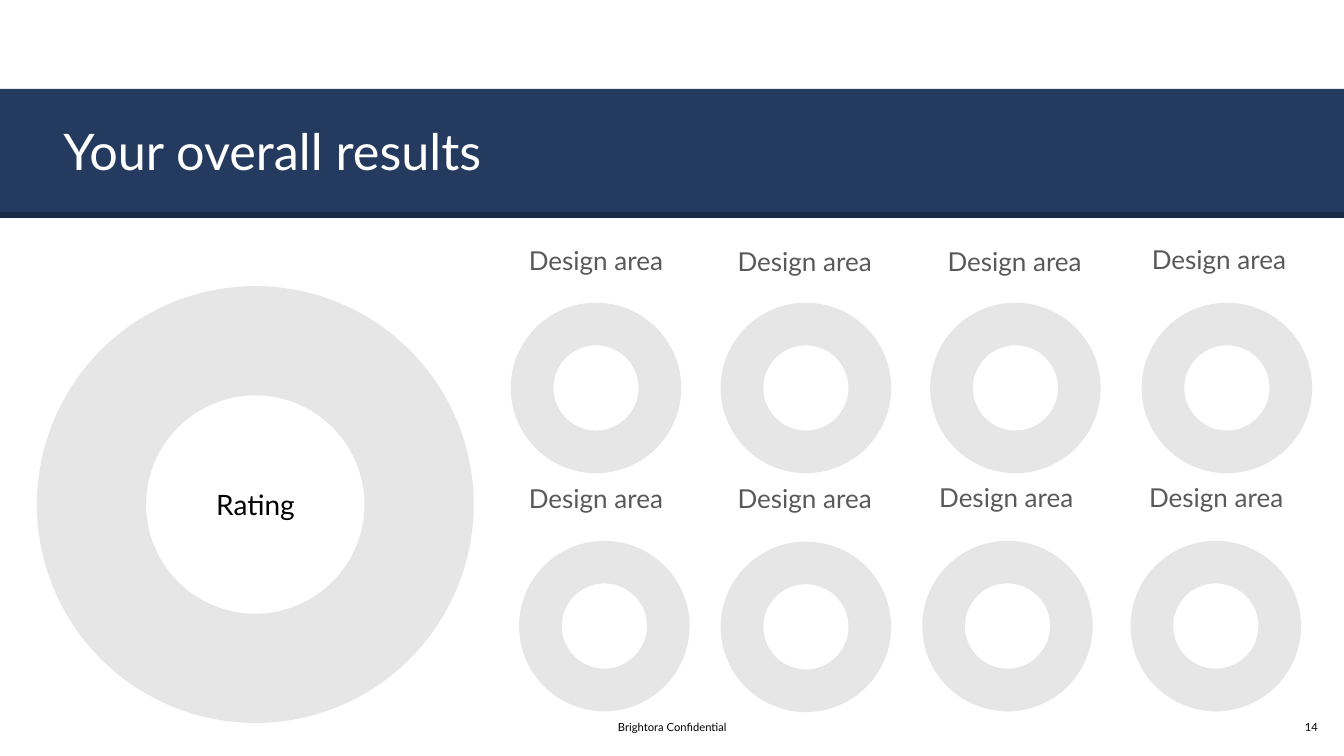
from dataclasses import dataclass

from lxml import etree
from pptx import Presentation
from pptx.chart.data import CategoryChartData
from pptx.dml.color import RGBColor
from pptx.enum import chart as ch, shapes, text
from pptx.oxml import parse_xml
from pptx.oxml.ns import nsdecls, qn
from pptx.util import Cm, Pt


@dataclass(frozen=True)
class Theme:
    font: str = "Lato"
    band: str = "243A5E"
    band_edge: str = "1B2B46"
    white: str = "FFFFFF"
    black: str = "000000"
    label: str = "595959"
    remainder: str = "E6E6E6"
    score: str = "FF0000"
    score_dark: str = "800000"
    title_size: float = 36
    rating_size: float = 20
    label_size: float = 18.6
    chart_size: float = 10
    footer_size: float = 8


@dataclass(frozen=True)
class Box:
    """A rectangle in centimetres."""
    left: float
    top: float
    width: float
    height: float

    def lengths(self) -> tuple[Cm, Cm, Cm, Cm]:
        return Cm(self.left), Cm(self.top), Cm(self.width), Cm(self.height)


@dataclass(frozen=True)
class DesignArea:
    ring_left: float
    ring_top: float
    label_left: float
    label_top: float
    label_height: float = 1.8
    score_color: str = Theme.score


THEME = Theme()
SLIDE_WIDTH, SLIDE_HEIGHT = 33.87, 19.05
RING_WIDTH, RING_HEIGHT, LABEL_WIDTH = 4.32, 7.39, 4.7
RING_PLOT = {"x": 0.5, "y": 37.6, "w": 99.5, "h": 58.2}  # percent of the chart

AREAS = [
    DesignArea(12.85, 4.85, 12.67, 5.66),
    DesignArea(18.14, 4.85, 17.93, 5.79, 1.6),
    DesignArea(23.42, 4.85, 23.22, 5.77, 1.6),
    DesignArea(28.75, 4.85, 28.37, 5.64),
    DesignArea(13.06, 10.85, 12.67, 11.66),
    DesignArea(18.14, 10.87, 17.93, 11.66),
    DesignArea(23.22, 10.85, 23.01, 11.63, score_color=THEME.score_dark),
    DesignArea(28.47, 10.85, 28.3, 11.63, score_color=THEME.score_dark),
]


def add_band(slide, box: Box, color: str) -> None:
    band = slide.shapes.add_shape(shapes.MSO_SHAPE.RECTANGLE, *box.lengths())
    band.shadow.inherit = False
    band.fill.solid()
    band.fill.fore_color.rgb = RGBColor.from_string(color)
    band.line.fill.background()


def add_text(slide, words: str, box: Box, *, size: float, color: str,
             align=text.PP_ALIGN.CENTER, anchor=text.MSO_ANCHOR.MIDDLE) -> None:
    frame = slide.shapes.add_textbox(*box.lengths()).text_frame
    frame.word_wrap = True
    frame.vertical_anchor = anchor
    frame.margin_left = frame.margin_right = frame.margin_top = frame.margin_bottom = 0
    paragraph = frame.paragraphs[0]
    paragraph.alignment = align
    run = paragraph.add_run()
    run.text = words
    run.font.name = THEME.font
    run.font.size = Pt(size)
    run.font.color.rgb = RGBColor.from_string(color)


def place_plot(chart, plot: dict[str, float]) -> None:
    """Fix the inner plot area at the given percentages of the chart."""
    plot_area = chart._chartSpace.chart.plotArea
    for layout in plot_area.findall(qn("c:layout")):
        plot_area.remove(layout)
    layout = parse_xml(f"<c:layout {nsdecls('c')}><c:manualLayout/></c:layout>")
    settings = {"layoutTarget": "inner", "xMode": "edge", "yMode": "edge"}
    settings |= {side: f"{percent / 100:.3f}" for side, percent in plot.items()}
    for tag, value in settings.items():
        etree.SubElement(layout[0], qn(f"c:{tag}")).set("val", value)
    plot_area.insert(0, layout)


def add_ring(slide, box: Box, score_color: str,
             plot: dict[str, float] | None = None) -> None:
    """Draw a score of 0 out of 100 as a doughnut."""
    data = CategoryChartData()
    data.categories = ["1", "2"]
    data.add_series("Series 1", (0, 100))
    chart = slide.shapes.add_chart(
        ch.XL_CHART_TYPE.DOUGHNUT, *box.lengths(), data).chart
    chart.has_title = chart.has_legend = False
    chart.font.name = THEME.font
    chart.font.size = Pt(THEME.chart_size)
    chart.font.color.rgb = RGBColor.from_string(THEME.black)
    chart._chartSpace.chart.addnext(parse_xml(
        f"<c:spPr {nsdecls('c', 'a')}><a:noFill/><a:ln><a:noFill/></a:ln></c:spPr>"))
    if plot:
        place_plot(chart, plot)
    chart.plots[0].vary_by_categories = True
    for index, color in enumerate((score_color, THEME.remainder)):
        part = chart.plots[0].series[0].points[index].format
        part.fill.solid()
        part.fill.fore_color.rgb = RGBColor.from_string(color)
        part.line.fill.background()


def main() -> None:
    deck = Presentation()
    deck.slide_width, deck.slide_height = Cm(SLIDE_WIDTH), Cm(SLIDE_HEIGHT)
    slide = deck.slides.add_slide(deck.slide_layouts[6])

    add_band(slide, Box(0, 2.24, SLIDE_WIDTH, 3.12), THEME.band)
    add_band(slide, Box(0, 5.34, SLIDE_WIDTH, 0.15), THEME.band_edge)
    add_text(slide, "Your overall results", Box(1.6, 3.02, 30.68, 1.55),
             size=THEME.title_size, color=THEME.white,
             align=text.PP_ALIGN.LEFT, anchor=text.MSO_ANCHOR.TOP)
    add_text(slide, "Brightora Confidential", Box(11.23, 18.16, 11.43, 0.33),
             size=THEME.footer_size, color=THEME.black)
    add_text(slide, "14", Box(32.49, 18.16, 1.12, 0.33),
             size=THEME.footer_size, color=THEME.black)

    for area in AREAS:
        add_ring(slide, Box(area.ring_left, area.ring_top, RING_WIDTH, RING_HEIGHT),
                 area.score_color, RING_PLOT)
        add_text(slide, "Design area",
                 Box(area.label_left, area.label_top, LABEL_WIDTH, area.label_height),
                 size=THEME.label_size, color=THEME.label)

    add_ring(slide, Box(-0.46, 6.86, 13.79, 11.71), THEME.score)
    add_text(slide, "Rating", Box(4.19, 11.79, 4.5, 1.85),
             size=THEME.rating_size, color=THEME.black)

    deck.save("out.pptx")


if __name__ == "__main__":
    main()
